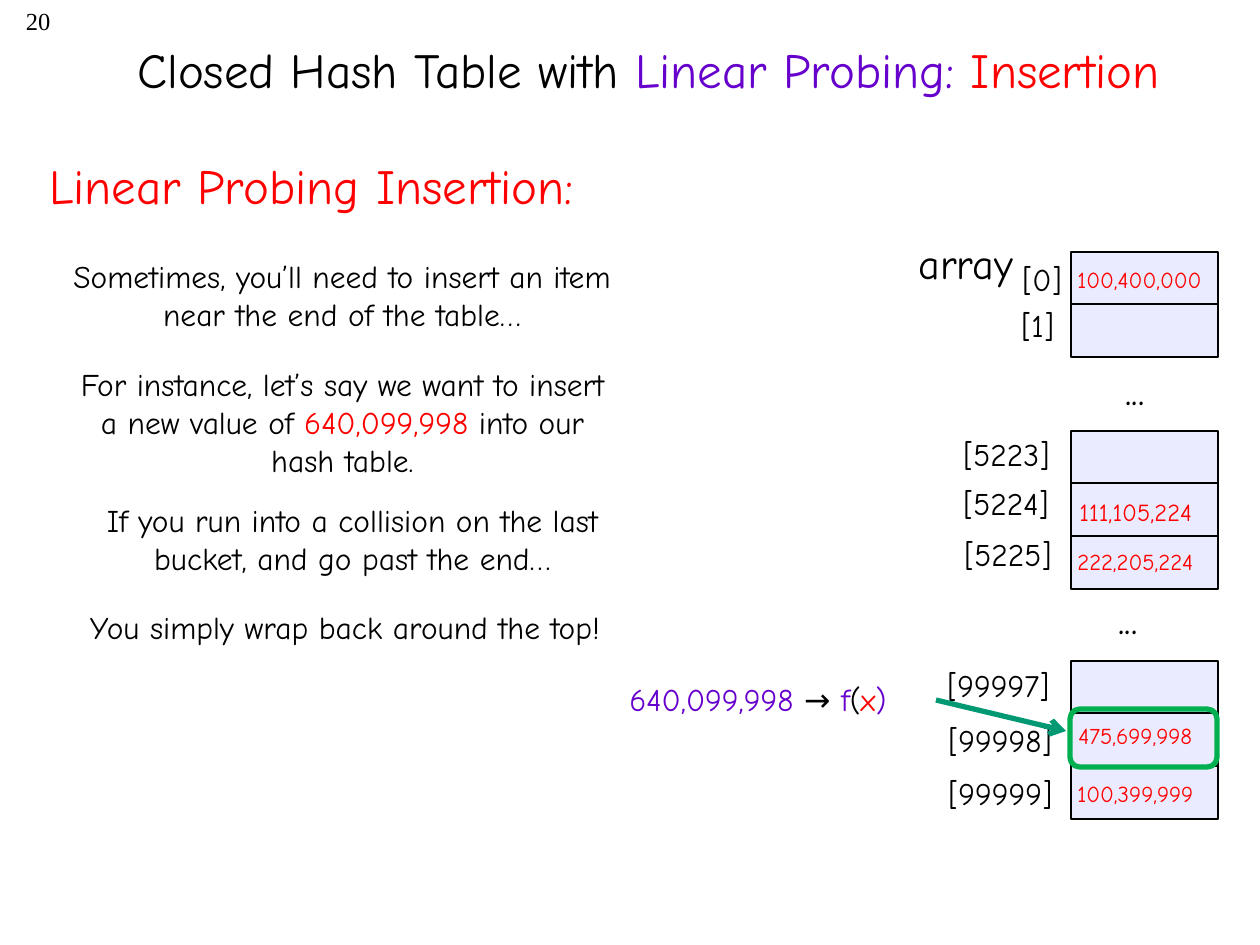
from lxml import etree
from pptx import Presentation
from pptx.dml.color import RGBColor
from pptx.enum.shapes import MSO_CONNECTOR, MSO_SHAPE
from pptx.enum.text import MSO_ANCHOR, PP_ALIGN
from pptx.oxml.ns import qn
from pptx.util import Pt

EMU_PER_INCH = 914400
PX_PER_INCH = 126
BLACK = RGBColor(0x00, 0x00, 0x00)
RED = RGBColor(0xFF, 0x00, 0x00)
PURPLE = RGBColor(0x66, 0x00, 0xCC)
LAVENDER = RGBColor(0xEB, 0xEB, 0xFF)
GREEN = RGBColor(0x00, 0xB0, 0x50)
TEAL = RGBColor(0x00, 0x99, 0x73)

BUCKET_LEFT, BUCKET_WIDTH, BUCKET_HEIGHT = 1071, 147, 53
BUCKET_GROUPS = [(252, 2), (431, 3), (661, 3)]

EXPLANATIONS = [
    ((37, 251, 610, 90), [("Sometimes, you’ll need to insert an item near the end of the table…", BLACK)]),
    ((59, 359, 567, 127), [("For instance, let’s say we want to insert a new value of ", BLACK),
                           ("640,099,998", RED), (" into our hash table.", BLACK)]),
    ((69, 495, 567, 90), [("If you run into a collision on the last bucket, and go past the end…", BLACK)]),
    ((40, 602, 610, 50), [("You simply wrap back around the top!", BLACK)]),
]
INDEX_LABELS = [
    ("[0]", 1010, 254), ("[1]", 1009, 300),
    ("[5223]", 951, 429), ("[5224]", 951, 478), ("[5225]", 952, 529),
    ("[99997]", 935, 660), ("[99998]", 936, 715), ("[99999]", 936, 768),
]
STORED_VALUES = [
    ("100,400,000", 1065, 260, 13), ("111,105,224", 1067, 491, 14),
    ("222,205,224", 1065, 542, 13), ("475,699,998", 1066, 716, 13),
    ("100,399,999", 1065, 774, 13),
]


def px(length):
    return round(length * EMU_PER_INCH / PX_PER_INCH)


def add_text(slide, runs, box, size=18, font="Comic Neue", align=PP_ALIGN.LEFT,
             anchor=MSO_ANCHOR.TOP, wrap=False):
    frame = slide.shapes.add_textbox(*map(px, box)).text_frame
    frame.word_wrap = wrap
    frame.vertical_anchor = anchor
    paragraph = frame.paragraphs[0]
    paragraph.alignment = align
    for words, color in runs:
        run = paragraph.add_run()
        run.text = words
        run.font.name = font
        run.font.size = Pt(size)
        run.font.color.rgb = color


def add_outlined(slide, preset, box, line_color, line_width, fill=None):
    outlined = slide.shapes.add_shape(preset, *map(px, box))
    outlined.shadow.inherit = False
    if fill is None:
        outlined.fill.background()
    else:
        outlined.fill.solid()
        outlined.fill.fore_color.rgb = fill
    outlined.line.color.rgb = line_color
    outlined.line.width = Pt(line_width)


def add_arrow(slide, start, end, color, width):
    arrow = slide.shapes.add_connector(MSO_CONNECTOR.STRAIGHT, *map(px, start + end))
    arrow.line.color.rgb = color
    arrow.line.width = Pt(width)
    etree.SubElement(arrow.line._get_or_add_ln(), qn("a:tailEnd"), type="arrow")
    etree.SubElement(arrow._element.spPr, qn("a:effectLst"))


def add_headings(slide):
    add_text(slide, [("20", BLACK)], (0, 0, 63, 63), size=14,
             font="Times New Roman", align=PP_ALIGN.RIGHT)
    add_text(slide, [("Closed Hash Table with ", BLACK), ("Linear Probing: ", PURPLE),
                     ("Insertion", RED)],
             (37, 0, 1223, 138), size=28, align=PP_ALIGN.CENTER,
             anchor=MSO_ANCHOR.MIDDLE, wrap=True)
    add_text(slide, [("Linear Probing Insertion:", RED)], (37, 149, 615, 72), size=28)


def add_hash_table(slide):
    for top, count in BUCKET_GROUPS:
        for row in range(count):
            box = (BUCKET_LEFT, top + row * 105 // 2, BUCKET_WIDTH, BUCKET_HEIGHT)
            add_outlined(slide, MSO_SHAPE.RECTANGLE, box, BLACK, 1.5, fill=LAVENDER)
    add_text(slide, [("array", BLACK)], (906, 231, 120, 63), size=24)
    for left, top in [(1113, 357), (1106, 586)]:
        add_text(slide, [("...", BLACK)], (left, top, 57, 63), size=24)
    for label, left, top in INDEX_LABELS:
        add_text(slide, [(label, BLACK)], (left, top, 130, 50))
    add_outlined(slide, MSO_SHAPE.ROUNDED_RECTANGLE, (1070, 709, 147, 58), GREEN, 3)
    for value, left, top, size in STORED_VALUES:
        add_text(slide, [(value, RED)], (left, top, 160, 40), size=size)


def main():
    presentation = Presentation()
    presentation.slide_width, presentation.slide_height = px(1260), px(945)
    slide = presentation.slides.add_slide(presentation.slide_layouts[6])
    add_headings(slide)
    for box, runs in EXPLANATIONS:
        add_text(slide, runs, box, align=PP_ALIGN.CENTER, wrap=True)
    add_hash_table(slide)
    add_text(slide, [("640,099,998 ", PURPLE), ("→ ", BLACK), ("f", PURPLE),
                     ("(", BLACK), ("x", RED), (")", PURPLE)], (617, 674, 336, 50))
    add_arrow(slide, (936, 700), (1066, 731), TEAL, 3)
    presentation.save("out.pptx")


if __name__ == "__main__":
    main()
